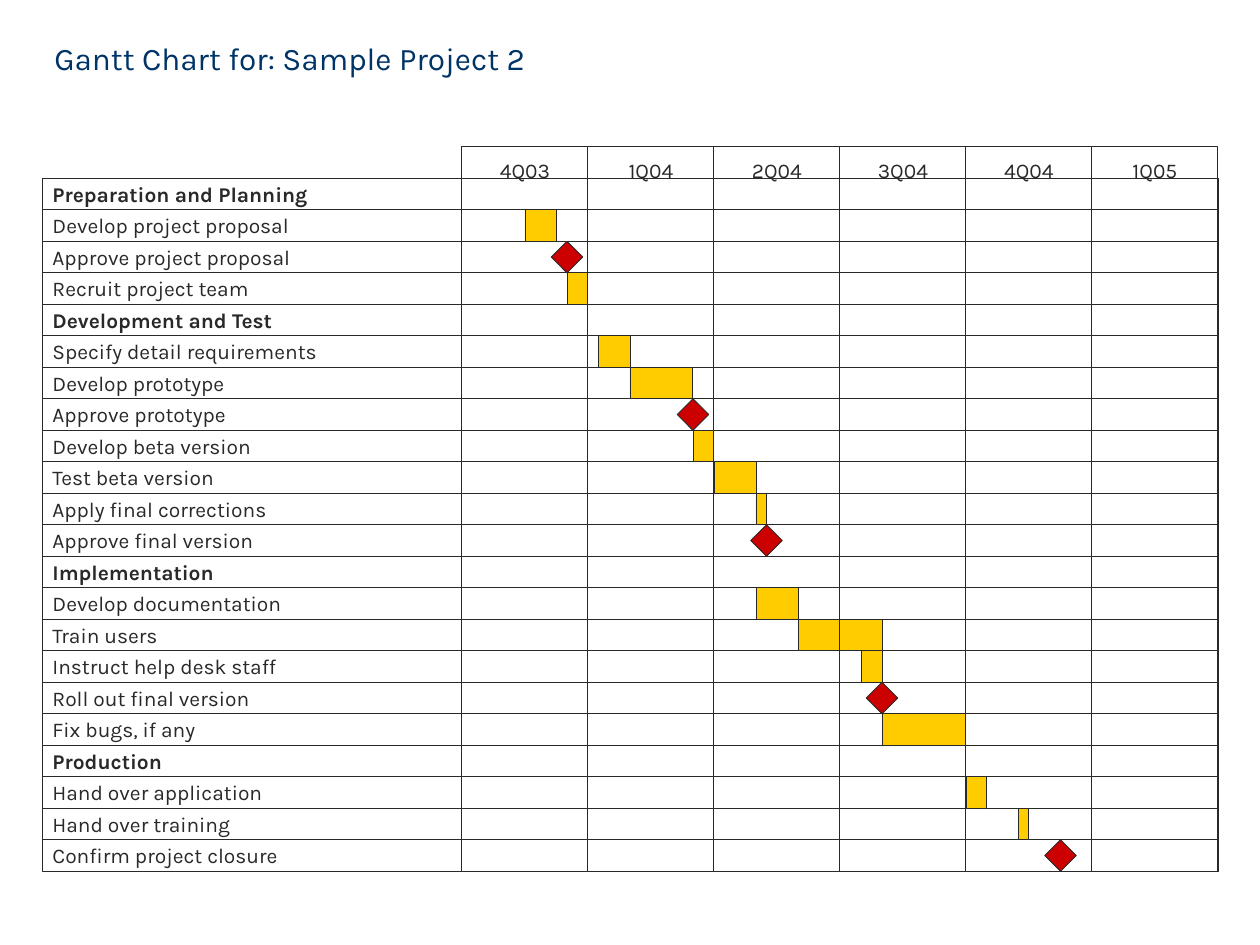
"""Build a one-slide Gantt chart for Sample Project 2."""
from pptx import Presentation
from pptx.dml.color import RGBColor
from pptx.enum.shapes import MSO_SHAPE as Preset
from pptx.enum.text import MSO_ANCHOR as Anchor, PP_ALIGN as Align
from pptx.util import Cm, Pt

NAVY = RGBColor(0x00, 0x33, 0x66)
INK = RGBColor(0x29, 0x29, 0x29)
AMBER = RGBColor(0xFF, 0xCC, 0x00)
RED = RGBColor(0xCC, 0x00, 0x00)

QUARTER = 2.54
WEEK = QUARTER / 12
ROW = QUARTER / 4
LEFT = QUARTER / 3
CHART_LEFT = LEFT + 10 * QUARTER / 3
HEADER_TOP = 2.96
ROWS_TOP = HEADER_TOP + ROW

QUARTERS = ["4Q03", "1Q04", "2Q04", "3Q04", "4Q04", "1Q05"]
PHASES = {
    "Preparation and Planning": [
        ("Develop project proposal", 6, 3),
        ("Approve project proposal", 10, 0),
        ("Recruit project team", 10, 2),
    ],
    "Development and Test": [
        ("Specify detail requirements", 13, 3),
        ("Develop prototype", 16, 6),
        ("Approve prototype", 22, 0),
        ("Develop beta version", 22, 2),
        ("Test beta version", 24, 4),
        ("Apply final corrections", 28, 1),
        ("Approve final version", 29, 0),
    ],
    "Implementation": [
        ("Develop documentation", 28, 4),
        ("Train users", 32, 8),
        ("Instruct help desk staff", 38, 2),
        ("Roll out final version", 40, 0),
        ("Fix bugs, if any", 40, 8),
    ],
    "Production": [
        ("Hand over application", 48, 2),
        ("Hand over training", 53, 1),
        ("Confirm project closure", 57, 0),
    ],
}


class GanttSlide:
    """Holds the chart style and the slide being drawn."""

    font_name = "Karla"
    text_size = Pt(12)
    line_width = Pt(0.5)
    padding = Cm(0.21)

    def __init__(self, slide):
        self.shapes = slide.shapes

    def label(self, frame, text, align=Align.LEFT, color=INK, **font_format):
        paragraph = frame.paragraphs[0]
        paragraph.alignment = align
        run = paragraph.add_run()
        run.text = text
        values = {"name": self.font_name, "size": self.text_size, **font_format}
        for name, value in values.items():
            setattr(run.font, name, value)
        run.font.color.rgb = color

    def title(self, text):
        box = self.shapes.add_textbox(Cm(LEFT), Cm(0.42), Cm(23.71), Cm(1.48))
        frame = box.text_frame
        frame.word_wrap = True
        frame.vertical_anchor = Anchor.MIDDLE
        self.label(frame, text, color=NAVY, size=Pt(18))

    def outline(self, preset, left, top, width, height, fill=None):
        shape = self.shapes.add_shape(preset, Cm(left), Cm(top), Cm(width), Cm(height))
        shape.shadow.inherit = False
        if fill is None:
            shape.fill.background()
        else:
            shape.fill.solid()
            shape.fill.fore_color.rgb = fill
        shape.line.color.rgb = INK
        shape.line.width = self.line_width
        return shape

    def cell(self, text, left, top, width, height, anchor, align, bold=False):
        frame = self.outline(Preset.RECTANGLE, left, top, width, height).text_frame
        values = {"word_wrap": True, "vertical_anchor": anchor}
        for side in ("left", "top", "right", "bottom"):
            values[f"margin_{side}"] = self.padding
        for name, value in values.items():
            setattr(frame, name, value)
        self.label(frame, text, align, bold=bold)

    def row(self, text, top, bold):
        width = len(QUARTERS) * QUARTER + CHART_LEFT - LEFT
        self.cell(text, LEFT, top, width, ROW, Anchor.MIDDLE, Align.LEFT, bold)

    def quarter(self, text, index, height):
        left = CHART_LEFT + index * QUARTER
        self.cell(text, left, HEADER_TOP, QUARTER, height, Anchor.TOP, Align.CENTER)

    def bar(self, start, weeks, top):
        left = CHART_LEFT + start * WEEK
        self.outline(Preset.RECTANGLE, left, top, weeks * WEEK, ROW, AMBER)

    def milestone(self, week, top):
        left = CHART_LEFT + week * WEEK - ROW / 2
        self.outline(Preset.DIAMOND, left, top, ROW, ROW, RED)


def main():
    deck = Presentation()
    deck.slide_width, deck.slide_height = Cm(25.4), Cm(19.05)
    gantt = GanttSlide(deck.slides.add_slide(deck.slide_layouts[6]))
    gantt.title("Gantt Chart for: Sample Project 2")

    top = ROWS_TOP
    scheduled = []
    for phase, tasks in PHASES.items():
        gantt.row(phase, top, bold=True)
        top += ROW
        for task, start, weeks in tasks:
            gantt.row(task, top, bold=False)
            scheduled.append((start, weeks, top))
            top += ROW

    for start, weeks, task_top in scheduled:
        if weeks:
            gantt.bar(start, weeks, task_top)
        else:
            gantt.milestone(start, task_top)

    for index, name in enumerate(QUARTERS):
        gantt.quarter(name, index, top - HEADER_TOP)
    deck.save("out.pptx")


if __name__ == "__main__":
    main()
